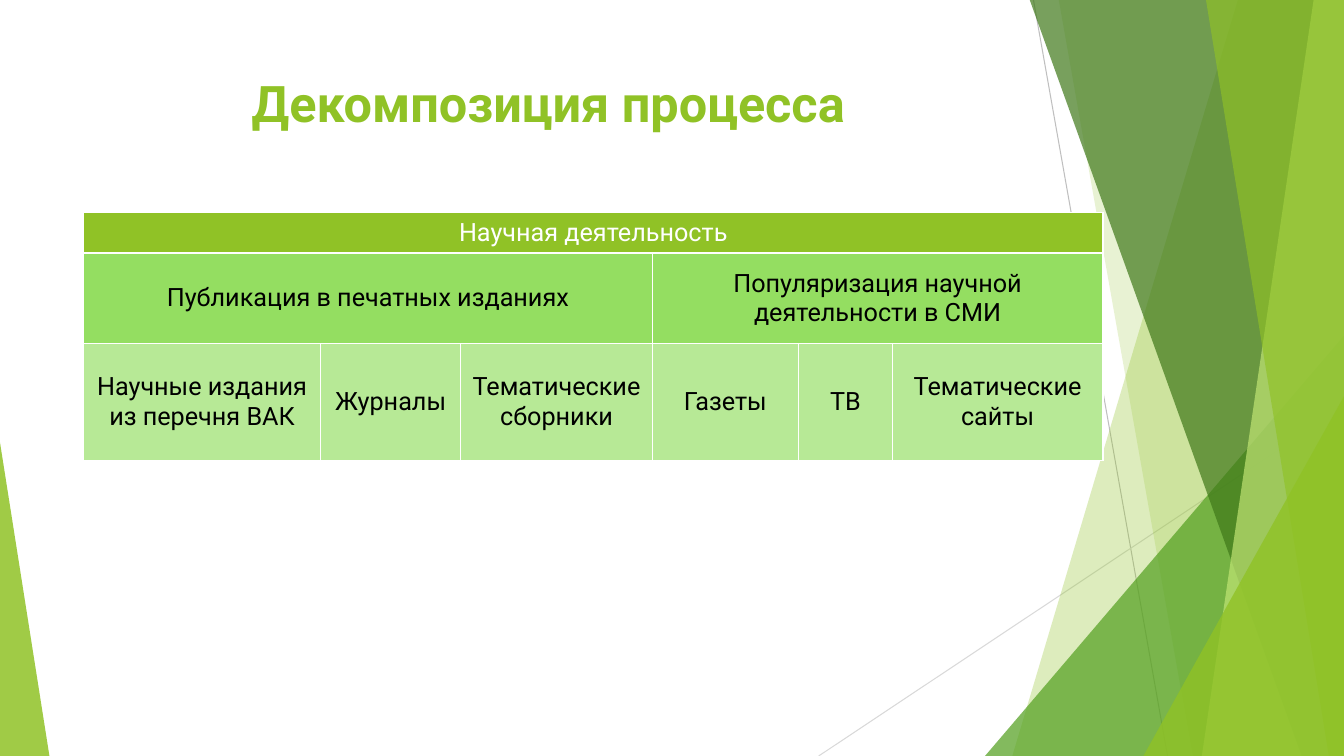
import pptx
import pptx.util
import pptx.dml.color
import pptx.enum.shapes
import pptx.enum.text
import pptx.oxml
import pptx.oxml.ns

Inches = pptx.util.Inches
Pt = pptx.util.Pt
RGBColor = pptx.dml.color.RGBColor
SHAPE = pptx.enum.shapes.MSO_SHAPE
ANCHOR = pptx.enum.text.MSO_ANCHOR
CENTER = pptx.enum.text.PP_ALIGN.CENTER
qn = pptx.oxml.ns.qn

LIME = RGBColor(0x90, 0xC2, 0x26)
GREEN = RGBColor(0x54, 0xA0, 0x21)
DARK = RGBColor(0x3F, 0x78, 0x19)
LIGHT = RGBColor(0xC0, 0xE4, 0x74)
MID = RGBColor(0x94, 0xDE, 0x61)
PALE = RGBColor(0xB7, 0xE9, 0x96)
GRAY = RGBColor(0xBF, 0xBF, 0xBF)
SILVER = RGBColor(0xD9, 0xD9, 0xD9)
WHITE = RGBColor(0xFF, 0xFF, 0xFF)
BLACK = RGBColor(0, 0, 0)

WIDE, HIGH, TOP = 13.33, 7.5, -0.01
FONT = "Roboto"
TITLE = "Декомпозиция процесса"
COLS = [2.35, 1.39, 1.9, 1.45, 0.93, 2.09]
ROWS = [
    (0.4, LIME, WHITE, [("Научная деятельность", 6)]),
    (0.9, MID, BLACK, [
        ("Публикация в печатных изданиях", 3),
        ("Популяризация научной деятельности в СМИ", 3),
    ]),
    (1.16, PALE, BLACK, [
        ("Научные издания из перечня ВАК", 1),
        ("Журналы", 1),
        ("Тематические сборники", 1),
        ("Газеты", 1),
        ("ТВ", 1),
        ("Тематические сайты", 1),
    ]),
]
LINES = [
    (10.25, 0, 11.58, HIGH, GRAY),
    (WIDE, 4.03, 8.12, HIGH, SILVER),
]
DECOR = [
    ("band", 12.28, 10.04, LIME, 30),
    ("band", 10.5, 11.83, LIME, 20),
    ("peak", (9.77, 3.33, 3.56, 4.17), 1, GREEN, 72),
    ("band", 10.21, 12.91, DARK, 70),
    ("band", 13.03, 11.92, LIGHT, 70),
    ("band", 11.96, 13.18, LIME, 65),
    ("peak", (11.34, 3.93, 1.99, 3.57), 1, LIME, 80),
    ("peak", (0, 4.39, 0.49, 3.11), 0, LIME, 85),
]


def add_run(para, text, size, color, bold=False):
    para.alignment = CENTER
    run = para.add_run()
    run.text = text
    run.font.name = FONT
    run.font.size = Pt(size)
    run.font.bold = bold
    run.font.color.rgb = color


def add_line(shapes, x1, y1, x2, y2, color):
    kind = pptx.enum.shapes.MSO_CONNECTOR.STRAIGHT
    line = shapes.add_connector(kind, *map(Inches, (x1, y1, x2, y2)))
    line.line.color.rgb = color
    line.line.width = Pt(0.75)
    props = line._element.spPr
    props.append(props.makeelement(qn("a:effectLst"), {}))


def add_band(shapes, upper, lower):
    pen = shapes.build_freeform(Inches(upper), Inches(TOP))
    ends = [(WIDE, TOP), (WIDE, HIGH), (lower, HIGH)]
    pen.add_line_segments([(Inches(x), Inches(y)) for x, y in ends])
    return pen.convert_to_shape()


def add_peak(shapes, box, tip):
    peak = shapes.add_shape(SHAPE.ISOSCELES_TRIANGLE, *map(Inches, box))
    peak.adjustments[0] = tip
    return peak


def paint(shape, color, alpha):
    shape.shadow.inherit = False
    shape.line.fill.background()
    shape.fill.solid()
    shape.fill.fore_color.rgb = color
    tone = shape._element.spPr.find(".//" + qn("a:srgbClr"))
    tone.append(tone.makeelement(qn("a:alpha"), {"val": str(alpha * 1000)}))


def add_edges(cell):
    props = cell._tc.get_or_add_tcPr()
    for i, side in enumerate("LRTB"):
        props.insert(i, pptx.oxml.parse_xml(
            f'<a:ln{side} xmlns:a="http://schemas.openxmlformats.org/drawingml/2006/main"'
            f' w="{Pt(1)}"><a:solidFill><a:srgbClr val="{WHITE}"/></a:solidFill></a:ln{side}>'))


def add_grid(shapes):
    size = (sum(COLS), sum(row[0] for row in ROWS))
    frame = shapes.add_table(len(ROWS), len(COLS), *map(Inches, (0.83, 2.11, *size)))
    table = frame.table
    table.first_row = table.horz_banding = False
    for col, width in zip(table.columns, COLS):
        col.width = Inches(width)
    for r, (height, fill, color, items) in enumerate(ROWS):
        table.rows[r].height = Inches(height)
        for cell in table.rows[r].cells:
            cell.fill.solid()
            cell.fill.fore_color.rgb = fill
            add_edges(cell)
        c = 0
        for text, span in items:
            cell = table.cell(r, c)
            if span > 1:
                cell.merge(table.cell(r, c + span - 1))
            cell.vertical_anchor = ANCHOR.MIDDLE
            add_run(cell.text_frame.paragraphs[0], text, 18, color)
            c += span


def main():
    deck = pptx.Presentation()
    deck.slide_width, deck.slide_height = Inches(WIDE), Inches(HIGH)
    slide = deck.slides.add_slide(deck.slide_layouts[5])
    shapes = slide.shapes
    for line in LINES:
        add_line(shapes, *line)
    makers = {"band": add_band, "peak": add_peak}
    for kind, first, second, color, alpha in DECOR:
        paint(makers[kind](shapes, first, second), color, alpha)

    title = shapes.title
    title.left, title.top, title.width, title.height = map(Inches, (0.74, 0.67, 9.4, 1.44))
    title.text_frame.vertical_anchor = ANCHOR.TOP
    add_run(title.text_frame.paragraphs[0], TITLE, 36, LIME, True)
    shapes._spTree.append(title._element)
    add_grid(shapes)
    deck.save("out.pptx")


if __name__ == "__main__":
    main()
